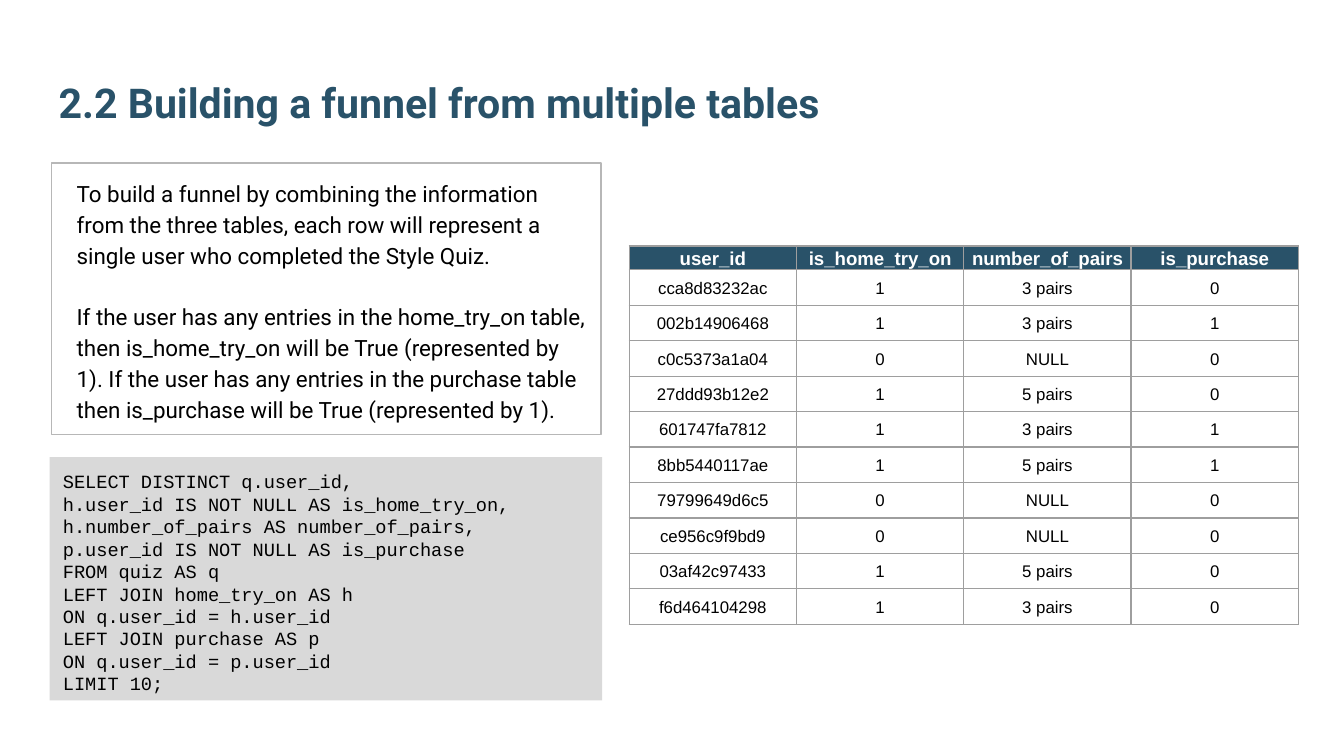
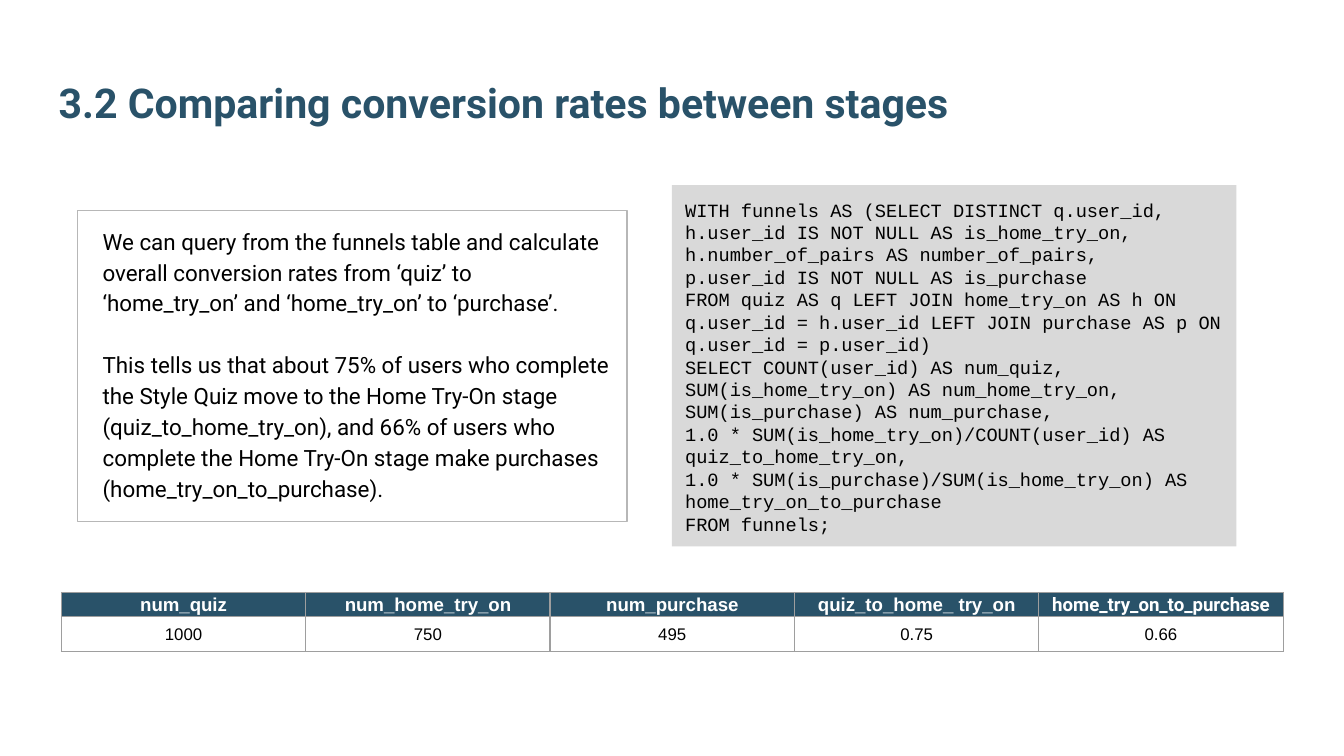
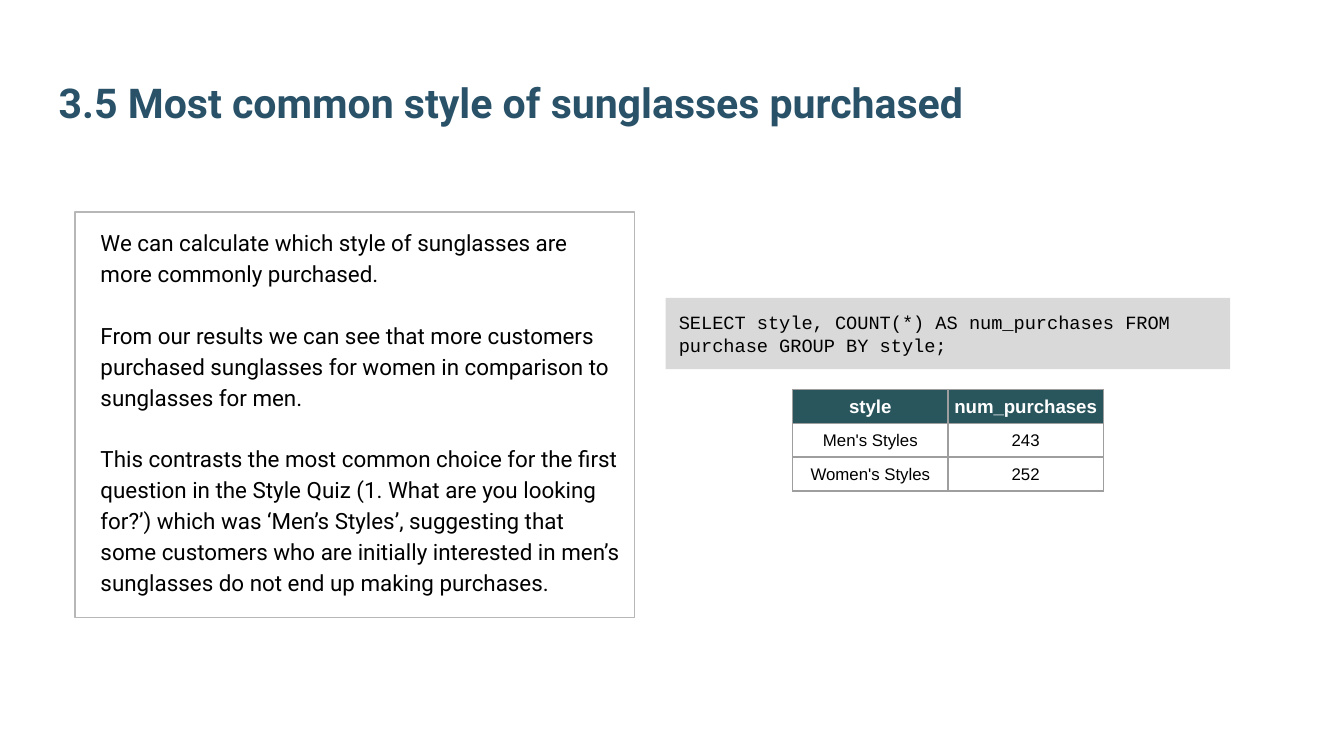
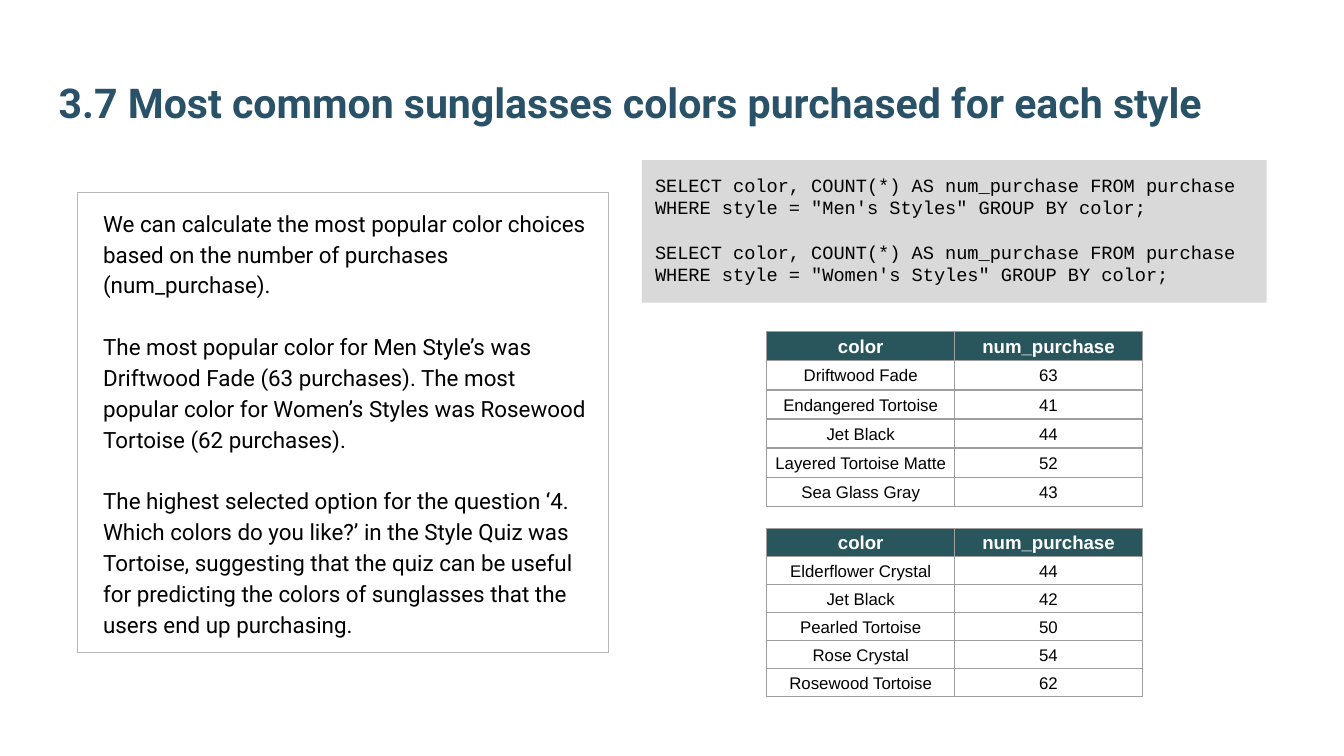
import pptx
import pptx.util
import pptx.dml.color
import pptx.enum.shapes
import pptx.enum.text
import pptx.oxml.ns
import lxml.etree

Cm = pptx.util.Cm
Pt = pptx.util.Pt
RGBColor = pptx.dml.color.RGBColor
PP_ALIGN = pptx.enum.text.PP_ALIGN
MSO_ANCHOR = pptx.enum.text.MSO_ANCHOR

NAVY = RGBColor(0x29, 0x52, 0x69)
TEAL = RGBColor(0x29, 0x55, 0x5D)
CODE_GREY = RGBColor(0xD9, 0xD9, 0xD9)
FRAME_GREY = RGBColor(0xB7, 0xB7, 0xB7)
GRID_GREY = RGBColor(0x9E, 0x9E, 0x9E)
BLACK = RGBColor(0, 0, 0)
WHITE = RGBColor(0xFF, 0xFF, 0xFF)


def write(tf, text, font="Roboto", size=12, color=BLACK, bold=False,
          align=PP_ALIGN.LEFT, anchor=MSO_ANCHOR.TOP, line=1, gap=0):
    tf.word_wrap = True
    tf.vertical_anchor = anchor
    for i, words in enumerate(text.split("\n")):
        p = tf.paragraphs[0] if i == 0 else tf.add_paragraph()
        p.alignment = align
        p.line_spacing = line
        p.space_before = Pt(gap if i else 0)
        r = p.add_run()
        r.text = words
        r.font.name = font
        r.font.size = Pt(size)
        r.font.bold = bold
        r.font.color.rgb = color


def set_margins(tf, left, rest=0.25):
    tf.margin_left = Cm(left)
    tf.margin_top = tf.margin_right = tf.margin_bottom = Cm(rest)


def add_titled_slide(prs, title):
    s = prs.slides.add_slide(prs.slide_layouts[5])
    sp = s.shapes.title
    sp.left, sp.top, sp.width, sp.height = Cm(0.86), Cm(0.81), Cm(23.67), Cm(1.83)
    tf = sp.text_frame
    tf.auto_size = pptx.enum.text.MSO_AUTO_SIZE.NONE
    set_margins(tf, 0.25)
    write(tf, title, size=22, color=NAVY, bold=True, anchor=MSO_ANCHOR.BOTTOM)
    return s


def add_box(s, left, top, width, height):
    sp = s.shapes.add_shape(pptx.enum.shapes.MSO_SHAPE.RECTANGLE,
                            Cm(left), Cm(top), Cm(width), Cm(height))
    sp.shadow.inherit = False
    return sp


def add_code(s, code, left, top, width, height, gap=0):
    sp = add_box(s, left, top, width, height)
    sp.fill.solid()
    sp.fill.fore_color.rgb = CODE_GREY
    sp.line.fill.background()
    set_margins(sp.text_frame, 0.25)
    write(sp.text_frame, code, font="Courier New", size=10, gap=gap)


def add_explanation(s, text, left, top, width, height):
    sp = add_box(s, left, top, width, height)
    sp.fill.background()
    sp.line.color.rgb = FRAME_GREY
    sp.line.width = Pt(0.75)
    set_margins(sp.text_frame, 0.48)
    write(sp.text_frame, text, line=1.15, gap=16.5)


def add_borders(cell):
    tcPr = cell._tc.get_or_add_tcPr()
    qn = pptx.oxml.ns.qn
    for i, side in enumerate(("a:lnL", "a:lnR", "a:lnT", "a:lnB")):
        ln = lxml.etree.Element(qn(side), w=str(Pt(0.75)))
        fill = lxml.etree.SubElement(ln, qn("a:solidFill"))
        lxml.etree.SubElement(fill, qn("a:srgbClr"), val=str(GRID_GREY))
        tcPr.insert(i, ln)


def add_result_table(s, rows, left, top, width, row_height,
                     header_height=None, header_color=TEAL, header_fonts=None):
    header_height = header_height or row_height
    header_fonts = header_fonts or {}
    height = header_height + row_height * (len(rows) - 1)
    table = s.shapes.add_table(len(rows), len(rows[0]), Cm(left), Cm(top),
                               Cm(width), Cm(height)).table
    table.horz_banding = False
    for column in table.columns:
        column.width = Cm(width / len(rows[0]))
    for i, values in enumerate(rows):
        header = i == 0
        table.rows[i].height = Cm(header_height if header else row_height)
        for j, value in enumerate(values):
            cell = table.cell(i, j)
            set_margins(cell, 0.03, 0.03)
            cell.margin_bottom = 0
            cell.vertical_anchor = MSO_ANCHOR.MIDDLE
            if header:
                cell.fill.solid()
                cell.fill.fore_color.rgb = header_color
                look = dict(font=header_fonts.get(value, "Arial"), size=10,
                            color=WHITE, bold=True)
            else:
                cell.fill.background()
                look = dict(font="Arial", size=9)
            write(cell.text_frame, value, align=PP_ALIGN.CENTER,
                  anchor=MSO_ANCHOR.MIDDLE, **look)
            add_borders(cell)


def read_rows(text):
    return [row.split("|") for row in text.split("\n")]


def build_funnel_slide(prs):
    s = add_titled_slide(prs, "2.2 Building a funnel from multiple tables")
    add_code(s, """SELECT DISTINCT q.user_id,
h.user_id IS NOT NULL AS is_home_try_on, h.number_of_pairs AS number_of_pairs,
p.user_id IS NOT NULL AS is_purchase
FROM quiz AS q
LEFT JOIN home_try_on AS h
ON q.user_id = h.user_id
LEFT JOIN purchase AS p
ON q.user_id = p.user_id
LIMIT 10;""", 0.94, 8.64, 10.44, 4.6)
    add_explanation(
        s,
        "To build a funnel by combining the information from the three tables, "
        "each row will represent a single user who completed the Style Quiz.\n"
        "If the user has any entries in the home_try_on table, then is_home_try_on "
        "will be True (represented by 1). If the user has any entries in the "
        "purchase table then is_purchase will be True (represented by 1).",
        0.97, 3.08, 10.39, 5.13)
    add_result_table(s, read_rows("""user_id|is_home_try_on|number_of_pairs|is_purchase
cca8d83232ac|1|3 pairs|0
002b14906468|1|3 pairs|1
c0c5373a1a04|0|NULL|0
27ddd93b12e2|1|5 pairs|0
601747fa7812|1|3 pairs|1
8bb5440117ae|1|5 pairs|1
79799649d6c5|0|NULL|0
ce956c9f9bd9|0|NULL|0
03af42c97433|1|5 pairs|0
f6d464104298|1|3 pairs|0"""), 11.89, 4.65, 12.65, 0.67,
                     header_height=0.45, header_color=NAVY)


def build_conversion_slide(prs):
    s = add_titled_slide(prs, "3.2 Comparing conversion rates between stages")
    add_code(s, """WITH funnels AS (SELECT DISTINCT q.user_id, h.user_id IS NOT NULL AS is_home_try_on, h.number_of_pairs AS number_of_pairs,
p.user_id IS NOT NULL AS is_purchase
FROM quiz AS q LEFT JOIN home_try_on AS h ON q.user_id = h.user_id LEFT JOIN purchase AS p ON q.user_id = p.user_id)
SELECT COUNT(user_id) AS num_quiz, SUM(is_home_try_on) AS num_home_try_on, SUM(is_purchase) AS num_purchase,
1.0 * SUM(is_home_try_on)/COUNT(user_id) AS quiz_to_home_try_on,
1.0 * SUM(is_purchase)/SUM(is_home_try_on) AS home_try_on_to_purchase
FROM funnels;""", 12.7, 3.5, 10.67, 6.83)
    add_explanation(
        s,
        "We can query from the funnels table and calculate overall conversion "
        "rates from ‘quiz’ to ‘home_try_on’ and ‘home_try_on’ to ‘purchase’.\n"
        "This tells us that about 75% of users who complete the Style Quiz move "
        "to the Home Try-On stage (quiz_to_home_try_on), and 66% of users who "
        "complete the Home Try-On stage make purchases (home_try_on_to_purchase).",
        1.46, 3.98, 10.39, 5.88)
    add_result_table(s, read_rows(
        "num_quiz|num_home_try_on|num_purchase|quiz_to_home_ try_on|home_try_on_to_purchase\n"
        "1000|750|495|0.75|0.66"), 1.16, 11.2, 23.09, 0.67,
        header_height=0.45, header_color=NAVY,
        header_fonts={"home_try_on_to_purchase": "Roboto"})


def build_style_slide(prs):
    s = add_titled_slide(prs, "3.5 Most common style of sunglasses purchased")
    add_code(s, "SELECT style, COUNT(*) AS num_purchases FROM purchase GROUP BY style;",
             12.58, 5.63, 10.67, 1.35)
    add_explanation(
        s,
        "We can calculate which style of sunglasses are more commonly purchased.\n"
        "From our results we can see that more customers purchased sunglasses "
        "for women in comparison to sunglasses for men.\n"
        "This contrasts the most common choice for the first question in the "
        "Style Quiz (1. What are you looking for?’) which was ‘Men’s Styles’, "
        "suggesting that some customers who are initially interested in men’s "
        "sunglasses do not end up making purchases.",
        1.42, 4.01, 10.57, 7.66)
    add_result_table(s, read_rows("""style|num_purchases
Men's Styles|243
Women's Styles|252"""), 14.98, 7.36, 5.87, 0.64)


def build_color_slide(prs):
    s = add_titled_slide(prs, "3.7 Most common sunglasses colors purchased for each style")
    add_code(s, """SELECT color, COUNT(*) AS num_purchase FROM purchase WHERE style = "Men's Styles" GROUP BY color;
SELECT color, COUNT(*) AS num_purchase FROM purchase WHERE style = "Women's Styles" GROUP BY color;""",
             12.13, 3.03, 11.81, 2.69, gap=12)
    add_explanation(
        s,
        "We can calculate the most popular color choices based on the number of "
        "purchases (num_purchase).\n"
        "The most popular color for Men Style’s was Driftwood Fade (63 purchases). "
        "The most popular color for Women’s Styles was Rosewood Tortoise "
        "(62 purchases).\n"
        "The highest selected option for the question ‘4. Which colors do you "
        "like?’ in the Style Quiz was Tortoise, suggesting that the quiz can be "
        "useful for predicting the colors of sunglasses that the users end up "
        "purchasing.",
        1.47, 3.64, 10.03, 8.69)
    add_result_table(s, read_rows("""color|num_purchase
Driftwood Fade|63
Endangered Tortoise|41
Jet Black|44
Layered Tortoise Matte|52
Sea Glass Gray|43"""), 14.49, 6.27, 7.1, 0.55)
    add_result_table(s, read_rows("""color|num_purchase
Elderflower Crystal|44
Jet Black|42
Pearled Tortoise|50
Rose Crystal|54
Rosewood Tortoise|62"""), 14.49, 9.99, 7.1, 0.53)


def main():
    prs = pptx.Presentation()
    prs.slide_width, prs.slide_height = Cm(25.4), Cm(14.29)
    build_funnel_slide(prs)
    build_conversion_slide(prs)
    build_style_slide(prs)
    build_color_slide(prs)
    prs.save("out.pptx")


if __name__ == "__main__":
    main()
